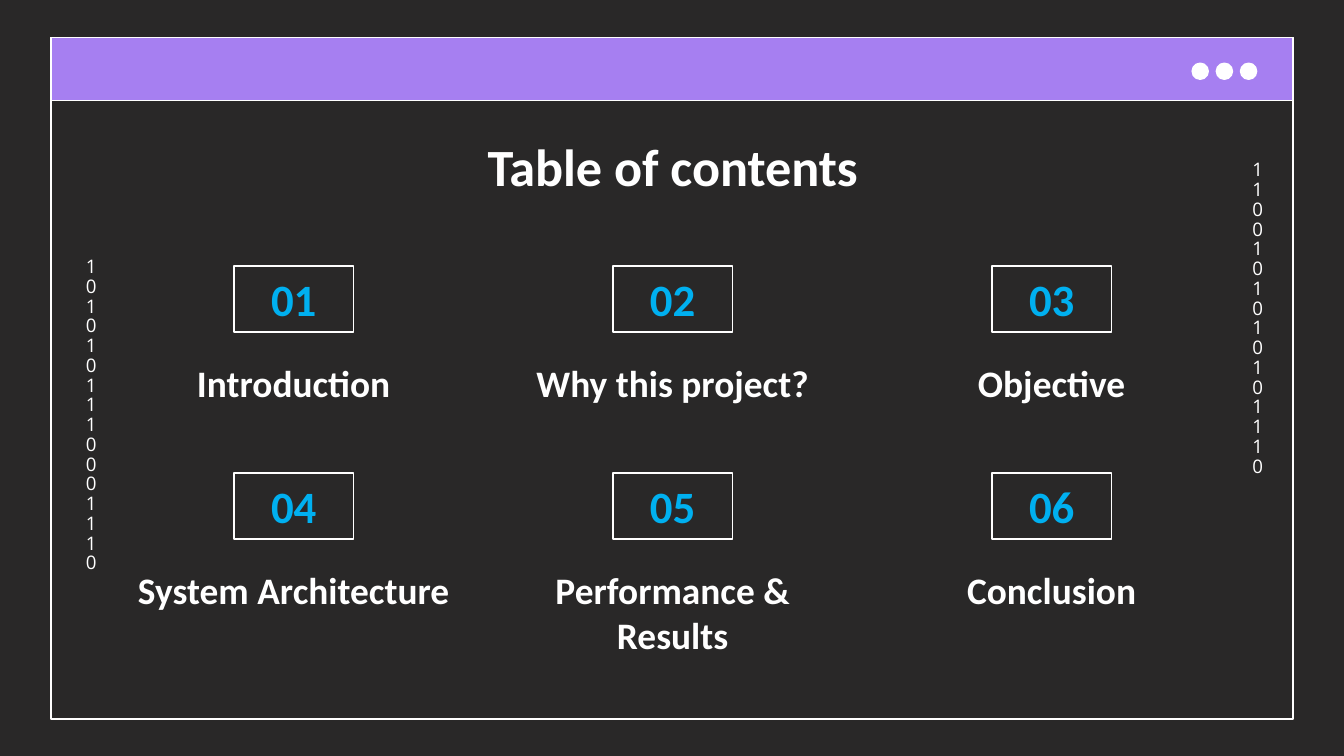
import pptx
from pptx.dml.color import RGBColor
from pptx.enum.shapes import MSO_SHAPE
from pptx.enum.text import MSO_ANCHOR, MSO_AUTO_SIZE, PP_ALIGN
from pptx.util import Inches, Pt

DARK, WHITE, PURPLE, BLUE = "292828", "FFFFFF", "A67FF1", "00B0F0"

TITLE = "Table of contents"
TOPICS = ["Introduction", "Why this project?", "Objective",
          "System Architecture", "Performance & Results", "Conclusion"]
# left, top, paragraphs; the narrow boxes wrap after every digit
DIGITS = [(9.22, 1.1, ["1100101010101110"]),
          (0.54, 1.82, ["101010111000111", "0"])]

COLUMNS = 3
GRID_LEFT, GRID_TOP = 0.79, 1.98
LABEL_W, LABEL_H, LABEL_DROP = 2.79, 0.6, 0.6
COLUMN_STEP, ROW_STEP = LABEL_W + 0.03, 1.54
NUMBER_W, NUMBER_H = 0.89, 0.49
DOT_STEP = 0.18


def color(hex_code):
    return RGBColor.from_string(hex_code)


def add_outlined(s, kind, left, top, width, height, fill=None):
    sp = s.shapes.add_shape(kind, Inches(left), Inches(top), Inches(width), Inches(height))
    sp.shadow.inherit = False
    if fill:
        sp.fill.solid()
        sp.fill.fore_color.rgb = color(fill)
    else:
        sp.fill.background()
    sp.line.color.rgb = color(WHITE)
    sp.line.width = Pt(0.75)
    return sp


def write(sp, lines, size, font="Calibri", hex_code=WHITE, bold=True,
          anchor=MSO_ANCHOR.TOP, spacing=1.0):
    tf = sp.text_frame
    tf.word_wrap = True
    tf.auto_size = MSO_AUTO_SIZE.NONE
    tf.vertical_anchor = anchor
    tf.margin_left = tf.margin_right = tf.margin_top = tf.margin_bottom = Inches(0.1)
    for i, line in enumerate(lines):
        p = tf.add_paragraph() if i else tf.paragraphs[0]
        p.alignment = PP_ALIGN.CENTER
        p.line_spacing = spacing
        r = p.add_run()
        r.text = line
        r.font.name = font
        r.font.size = Pt(size)
        r.font.bold = bold
        r.font.color.rgb = color(hex_code)


def add_text(s, left, top, width, height, lines, size, **style):
    sp = s.shapes.add_textbox(Inches(left), Inches(top), Inches(width), Inches(height))
    write(sp, lines, size, **style)


prs = pptx.Presentation()
prs.slide_width, prs.slide_height = Inches(10), Inches(5.625)
s = prs.slides.add_slide(prs.slide_layouts[5])
s.background.fill.solid()
s.background.fill.fore_color.rgb = color(DARK)

# Window frame, title bar and its three dots
add_outlined(s, MSO_SHAPE.RECTANGLE, 0.38, 0.28, 9.24, 5.07)
add_outlined(s, MSO_SHAPE.RECTANGLE, 0.38, 0.28, 9.24, 0.47, PURPLE)
for i in range(3):
    add_outlined(s, MSO_SHAPE.OVAL, 8.87 + DOT_STEP * i, 0.47, 0.12, 0.12, WHITE)

for left, top, lines in DIGITS:
    add_text(s, left, top, 0.24, 2.8, lines, 10, font="Open Sans", bold=False, spacing=0.88)

title = s.shapes.title
title.left, title.top = Inches(0.79), Inches(0.9)
title.width, title.height = Inches(8.43), Inches(0.63)
write(title, [TITLE], 28)

for i, topic in enumerate(TOPICS):
    row, column = divmod(i, COLUMNS)
    left = GRID_LEFT + column * COLUMN_STEP
    top = GRID_TOP + row * ROW_STEP
    number = add_outlined(s, MSO_SHAPE.RECTANGLE, left + (LABEL_W - NUMBER_W) / 2, top,
                          NUMBER_W, NUMBER_H)
    write(number, [f"{i + 1:02}"], 24, hex_code=BLUE, anchor=MSO_ANCHOR.MIDDLE)
    add_text(s, left, top + LABEL_DROP, LABEL_W, LABEL_H, [topic], 20)

prs.save("out.pptx")
